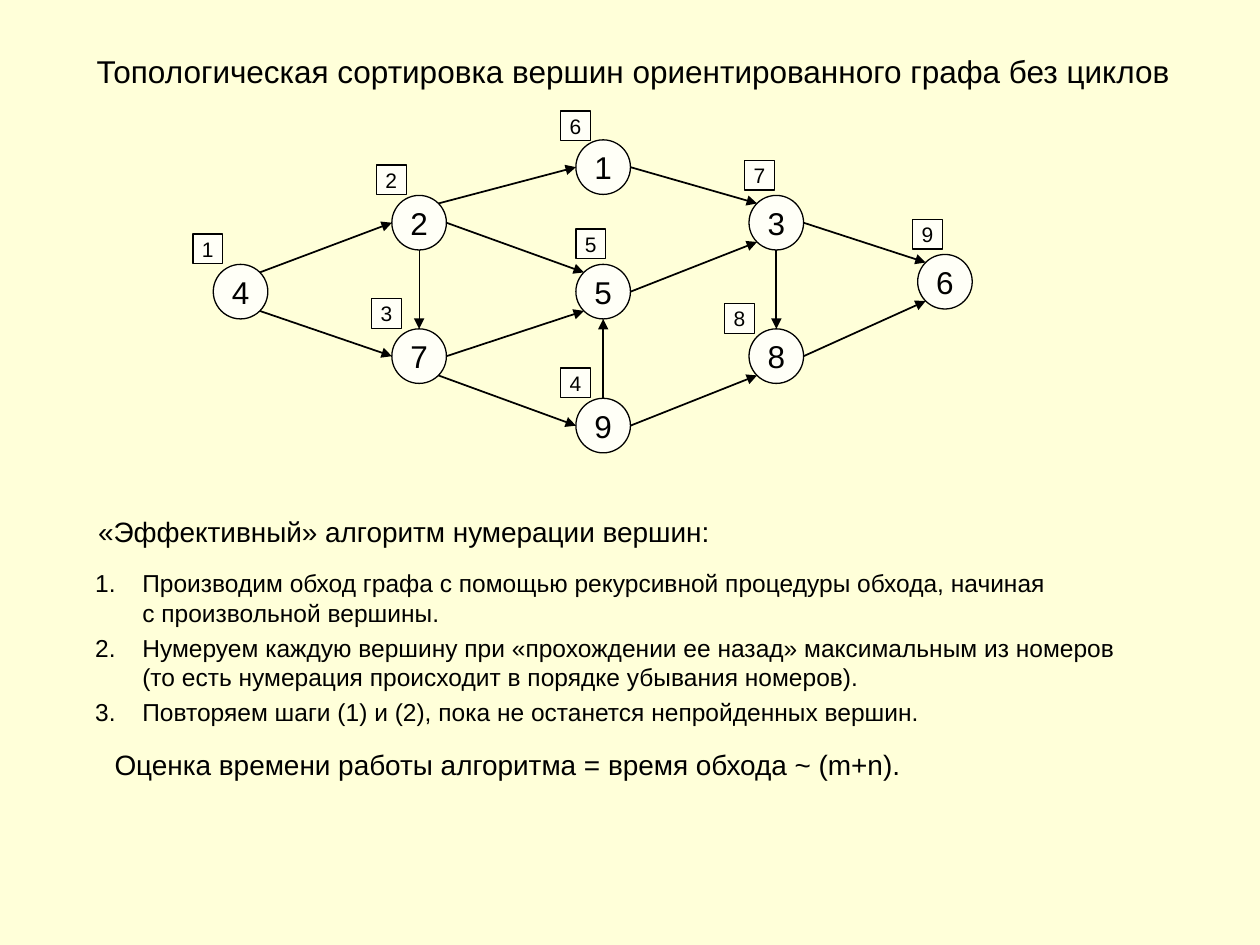
import copy
import math
from dataclasses import dataclass

import lxml.etree
import pptx
import pptx.dml.color
import pptx.enum.shapes
import pptx.enum.text
import pptx.oxml.ns
import pptx.util

Cm = pptx.util.Cm
Pt = pptx.util.Pt
qn = pptx.oxml.ns.qn
Shapes = pptx.enum.shapes.MSO_SHAPE

INK = "000000"
PAPER = "FFFFD9"
NODE_FILL = "FFFFF7"
NODE_SIZE = 1.1
BADGE_SIZE = 0.6
STEP_LEFT, STEP_TOP, STEP_PITCH = 1.67, 11.33, 1.3
PORT_ANGLES = {"E": 0, "SE": 45, "S": 90, "SW": 135, "W": 180, "N": 270, "NE": 315}


@dataclass
class Vertex:
    left: float
    top: float
    order: int
    badge_left: float
    badge_top: float

    def port(self, side: str) -> tuple[float, float]:
        angle = math.radians(PORT_ANGLES[side])
        radius = NODE_SIZE / 2
        return (self.left + radius * (1 + math.cos(angle)),
                self.top + radius * (1 + math.sin(angle)))


@dataclass
class Edge:
    start: int
    start_side: str
    end: int
    end_side: str
    width: float = 1


@dataclass
class Label:
    text: str
    left: float
    top: float
    width: float
    height: float
    size: int
    number: int = 0


VERTICES = {
    1: Vertex(11.61, 2.82, 6, 11.3, 2.24),
    5: Vertex(11.61, 5.33, 5, 11.61, 4.62),
    9: Vertex(11.61, 8.03, 4, 11.3, 7.42),
    2: Vertex(7.9, 3.94, 2, 7.59, 3.33),
    7: Vertex(7.9, 6.63, 3, 7.49, 6.02),
    3: Vertex(15.1, 3.94, 7, 15.01, 3.23),
    8: Vertex(15.1, 6.63, 8, 14.61, 6.12),
    4: Vertex(4.3, 5.33, 1, 3.89, 4.72),
    6: Vertex(18.5, 5.13, 9, 18.4, 4.42),
}

EDGES = [
    Edge(4, "NE", 2, "W"),
    Edge(4, "SE", 7, "W"),
    Edge(2, "S", 7, "N", 0.75),
    Edge(2, "NE", 1, "W"),
    Edge(2, "E", 5, "NW"),
    Edge(7, "E", 5, "SW"),
    Edge(7, "SE", 9, "W"),
    Edge(9, "N", 5, "S"),
    Edge(1, "E", 3, "NW"),
    Edge(5, "E", 3, "SW"),
    Edge(9, "E", 8, "SW"),
    Edge(3, "S", 8, "N"),
    Edge(3, "E", 6, "NW"),
    Edge(8, "E", 6, "SW"),
]
PORT_ANGLES["NW"] = 225

TITLE = Label("Топологическая сортировка вершин ориентированного графа без циклов",
              1.7, 0.92, 22.22, 1.02, 18)
HEADING = Label("«Эффективный» алгоритм нумерации вершин:", 1.73, 10.24, 12.85, 0.93, 16)
ESTIMATE = Label("Оценка времени работы алгоритма = время обхода ~ (m+n).",
                 2.06, 14.94, 16.41, 0.93, 16)
STEPS = [
    ("Производим обход графа с помощью рекурсивной процедуры обхода, начиная\v"
     "с произвольной вершины.", 19.79, 1.44),
    ("Нумеруем каждую вершину при «прохождении ее назад» максимальным из номеров\v"
     "(то есть нумерация происходит в порядке убывания номеров).", 21.11, 1.44),
    ("Повторяем шаги (1) и (2), пока не останется непройденных вершин.", 17.17, 0.85),
]


def color(value: str) -> pptx.dml.color.RGBColor:
    return pptx.dml.color.RGBColor.from_string(value)


def format_text(paragraph, size: int) -> None:
    for span in paragraph.runs:
        span.font.name = "Arial"
        span.font.size = Pt(size)
        span.font.color.rgb = color(INK)
    for line_break in paragraph._p.findall(qn("a:br")):
        line_break.append(copy.deepcopy(paragraph.runs[0]._r.rPr))


def number_paragraph(paragraph, number: int) -> None:
    properties = paragraph._p.get_or_add_pPr()
    properties.set("marL", str(Cm(0.95)))
    properties.set("indent", str(-Cm(0.95)))
    bullet_color = lxml.etree.SubElement(properties, qn("a:buClr"))
    lxml.etree.SubElement(bullet_color, qn("a:srgbClr"), val=INK)
    lxml.etree.SubElement(properties, qn("a:buAutoNum"),
                          type="arabicPeriod", startAt=str(number))


def draw_label(page, label: Label) -> None:
    box = page.shapes.add_textbox(Cm(label.left), Cm(label.top),
                                  Cm(label.width), Cm(label.height))
    frame = box.text_frame
    frame.word_wrap = False
    frame.auto_size = pptx.enum.text.MSO_AUTO_SIZE.SHAPE_TO_FIT_TEXT
    frame.text = label.text
    paragraph = frame.paragraphs[0]
    if label.number:
        number_paragraph(paragraph, label.number)
    format_text(paragraph, label.size)


def draw_marker(page, kind, left: float, top: float, side: float,
                number: int, size: int) -> None:
    marker = page.shapes.add_shape(kind, Cm(left), Cm(top), Cm(side), Cm(side))
    marker.shadow.inherit = False
    marker.fill.solid()
    marker.fill.fore_color.rgb = color(NODE_FILL)
    marker.line.color.rgb = color(INK)
    marker.line.width = Pt(0.75)
    frame = marker.text_frame
    frame.word_wrap = False
    frame.vertical_anchor = pptx.enum.text.MSO_ANCHOR.MIDDLE
    frame.text = str(number)
    paragraph = frame.paragraphs[0]
    paragraph.alignment = pptx.enum.text.PP_ALIGN.CENTER
    format_text(paragraph, size)


def draw_edge(page, edge: Edge) -> None:
    points = (*VERTICES[edge.start].port(edge.start_side),
              *VERTICES[edge.end].port(edge.end_side))
    arrow = page.shapes.add_connector(pptx.enum.shapes.MSO_CONNECTOR.STRAIGHT,
                                      *(Cm(point) for point in points))
    arrow.line.color.rgb = color(INK)
    arrow.line.width = Pt(edge.width)
    properties = arrow._element.spPr
    lxml.etree.SubElement(properties.find(qn("a:ln")), qn("a:tailEnd"), type="triangle")
    lxml.etree.SubElement(properties, qn("a:effectLst"))


def main() -> None:
    deck = pptx.Presentation()
    deck.slide_width, deck.slide_height = Cm(25.4), Cm(19.05)
    page = deck.slides.add_slide(deck.slide_layouts[6])
    page.background.fill.solid()
    page.background.fill.fore_color.rgb = color(PAPER)

    draw_label(page, TITLE)
    for name, vertex in VERTICES.items():
        draw_marker(page, Shapes.OVAL, vertex.left, vertex.top, NODE_SIZE, name, 18)
    for edge in EDGES:
        draw_edge(page, edge)
    draw_label(page, HEADING)
    for index, (text, width, height) in enumerate(STEPS):
        draw_label(page, Label(text, STEP_LEFT, STEP_TOP + index * STEP_PITCH,
                               width, height, 14, index + 1))
    for vertex in VERTICES.values():
        draw_marker(page, Shapes.RECTANGLE, vertex.badge_left, vertex.badge_top,
                    BADGE_SIZE, vertex.order, 12)
    draw_label(page, ESTIMATE)
    deck.save("out.pptx")


if __name__ == "__main__":
    main()
